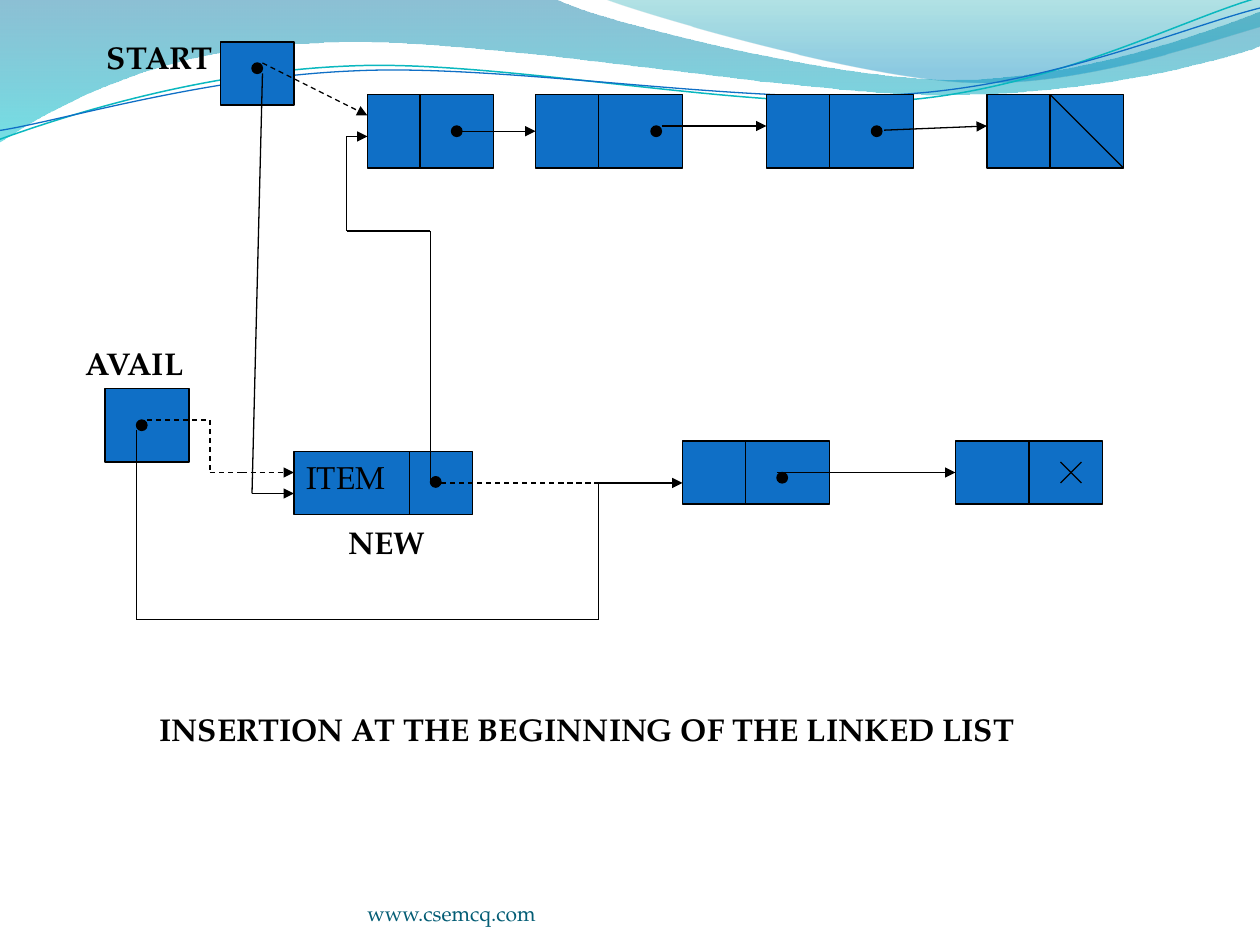
from lxml import etree
from pptx import Presentation
from pptx.dml.color import RGBColor
from pptx.enum.dml import MSO_LINE
from pptx.enum.shapes import MSO_CONNECTOR, MSO_SHAPE
from pptx.enum.text import MSO_ANCHOR, MSO_AUTO_SIZE
from pptx.oxml import parse_xml
from pptx.oxml.ns import nsdecls, qn
from pptx.util import Cm, Pt

RECT, OVAL = MSO_SHAPE.RECTANGLE, MSO_SHAPE.OVAL
STRAIGHT = MSO_CONNECTOR.STRAIGHT
DASH = MSO_LINE.DASH
FIT, BOTTOM = MSO_AUTO_SIZE.SHAPE_TO_FIT_TEXT, MSO_ANCHOR.BOTTOM
LEFT_SIDE = 1

FONT = "TeX Gyre Pagella"
COLORS = {"node": "0F6FC6", "ink": "000000", "footer": "045D75",
          "teal": "0AB8BF", "blue": "0F6FC6"}
# Gradient stops: position %, colour, opacity %
BAND_STOPS = [(0, "0074A1", 45), (100, "00C6CF", 55)]
CREST_STOPS = [(0, "00A1A9", 30), (80, "008BBF", 45)]

# Wave outlines in inches: a pair is a corner, a six-tuple is a Bezier curve
BAND = [(0, 0), (4.4, -0.01), (4.76, 0.17, 6.64, 0.63, 7.58, 0.63),
        (8.53, 0.63, 9.58, 0.26, 10, 0.09), (10.01, 0.36),
        (9.83, 0.44, 8.7, 0.76, 7.46, 0.75), (6.22, 0.75, 3.82, 0.28, 2.57, 0.34),
        (1.29, 0.36, 0.46, 0.83, -0.01, 1.13)]
CREST = [(4.79, -0.01), (5.09, 0.11, 6.82, 0.62, 7.69, 0.65),
         (8.56, 0.69, 9.61, 0.32, 10, 0.21), (10, 0)]
# The two thin waves are given level and then tilted
TILT = -2.7
TEAL_WAVE = [(-0.02, 0.87), (0.47, 0.72, 1.58, 0.41, 2.78, 0.42),
             (3.96, 0.42, 5.91, 0.93, 7.12, 0.9), (8.32, 0.87, 9.4, 0.36, 10, 0.22)]
BLUE_WAVE = [(-0.02, 0.8), (0.46, 0.75, 1.64, 0.45, 2.83, 0.46),
             (4.03, 0.46, 5.96, 0.89, 7.16, 0.85), (8.35, 0.83, 9.42, 0.42, 10.02, 0.3)]


def u(n):
    """Length of n diagram grid units (a twelfth of an inch)."""
    return Cm(n * 2.54 / 12)


def rgb(name):
    return RGBColor.from_string(COLORS[name])


def add_outline(s, outline, close):
    """Freeform whose six-tuples become Bezier curves."""
    points = [(Cm(part[i] * 2.54), Cm(part[i + 1] * 2.54))
              for part in outline for i in range(0, len(part), 2)]
    builder = s.shapes.build_freeform(*points[0])
    builder.add_line_segments(points[1:], close=close)
    sp = builder.convert_to_shape()
    sp.shadow.inherit = False
    segments = iter(list(sp._element.spPr.iter(qn("a:lnTo"))))
    for part in outline[1:]:
        segment = next(segments)
        if len(part) == 6:
            segment.tag = qn("a:cubicBezTo")
            for _ in range(2):
                extra = next(segments)
                segment.append(extra[0])
                extra.getparent().remove(extra)
    return sp


def add_band(s, outline, stops):
    sp = add_outline(s, outline, close=True)
    sp.line.fill.background()
    sp.fill.background()
    gs = "".join(f'<a:gs pos="{pos * 1000}"><a:srgbClr val="{c}">'
                 f'<a:alpha val="{alpha * 1000}"/></a:srgbClr></a:gs>'
                 for pos, c, alpha in stops)
    no_fill = sp._element.spPr.find(qn("a:noFill"))
    no_fill.getparent().replace(no_fill, parse_xml(
        f'<a:gradFill {nsdecls("a")}><a:gsLst>{gs}</a:gsLst>'
        '<a:lin ang="5400000" scaled="0"/></a:gradFill>'))


def add_wave(s, outline, color, width):
    sp = add_outline(s, outline, close=False)
    sp.fill.background()
    sp.line.color.rgb = rgb(color)
    sp.line.width = Pt(width)
    sp.rotation = TILT


def add_shape(s, kind, x, y, w, h, color):
    sp = s.shapes.add_shape(kind, u(x), u(y), u(w), u(h))
    sp.shadow.inherit = False
    sp.fill.solid()
    sp.fill.fore_color.rgb = rgb(color)
    sp.line.color.rgb = rgb("ink")
    sp.line.width = Pt(0.75)
    return sp


def add_line(s, start, end, arrow=False, dashed=False, target=None):
    cx = s.shapes.add_connector(STRAIGHT, *map(u, start + end))
    cx.line.color.rgb = rgb("ink")
    cx.line.width = Pt(0.75)
    if dashed:
        cx.line.dash_style = DASH
    if arrow:
        etree.SubElement(cx.line._get_or_add_ln(), qn("a:tailEnd"), type="triangle")
    etree.SubElement(cx._element.spPr, qn("a:effectLst"))
    if target is not None:
        cx.end_connect(target, LEFT_SIDE)


def add_route(s, points, dashed=False):
    """Chain of straight lines, with the arrowhead on the last one."""
    for i, (start, end) in enumerate(zip(points, points[1:]), 2):
        add_line(s, start, end, i == len(points), dashed)


def add_node(s, x, y, w, h, divider):
    sp = add_shape(s, RECT, x, y, w, h, "node")
    add_line(s, (divider, y), (divider, y + h))
    return sp


def add_text(s, text, x, y, w, size=18, bold=True, color="ink"):
    sp = s.shapes.add_textbox(u(x), u(y), u(w), u(4.8))
    tf = sp.text_frame
    tf.word_wrap = True
    tf.text = text
    font = tf.paragraphs[0].runs[0].font
    font.name, font.size, font.bold = FONT, Pt(size), bold
    font.color.rgb = rgb(color)
    return tf


def main():
    prs = Presentation()
    prs.slide_width, prs.slide_height = Cm(25.4), Cm(19.05)
    s = prs.slides.add_slide(prs.slide_layouts[6])

    # Waves along the top
    add_band(s, BAND, BAND_STOPS)
    add_band(s, CREST, CREST_STOPS)
    add_wave(s, TEAL_WAVE, "teal", 0.85)
    add_wave(s, BLUE_WAVE, "blue", 0.75)

    # Pointer boxes, the list in the top row and the free nodes below
    add_shape(s, RECT, 21, 4, 7, 6, "node")
    add_shape(s, RECT, 10, 37, 8, 7, "node")
    _, second, _, _ = [
        add_node(s, x, 9, w, 7, divider)
        for x, w, divider in ((35, 12, 40), (51, 14, 57), (73, 14, 79), (94, 13, 100))]
    add_node(s, 28, 43, 17, 6, 39)
    add_node(s, 65, 42, 14, 6, 71)
    last_free = add_node(s, 91, 42, 14, 6, 98)

    # Pointer dots
    for x, y in ((24, 6), (43, 12), (62, 12), (83, 12), (13, 40), (41, 45.4), (74, 45)):
        add_shape(s, OVAL, x, y, 1, 1, "ink")

    # Links between nodes
    add_line(s, (44, 12.5), (51, 12.5), arrow=True, target=second)
    add_line(s, (63, 12), (73, 12), arrow=True)
    add_line(s, (84.2, 12.4), (94, 12), arrow=True)
    add_line(s, (74, 45), (91, 45), arrow=True, target=last_free)

    # Null marks at both list ends
    add_line(s, (100, 9), (107, 16))
    add_line(s, (101, 44), (103, 46))
    add_line(s, (103, 44), (101, 46))

    # Old pointers, dashed
    add_line(s, (25, 6), (35, 11), arrow=True, dashed=True)
    add_route(s, [(14, 40), (20, 40), (20, 45), (23, 45), (28, 45)], dashed=True)
    add_line(s, (42, 46), (57, 46), dashed=True)

    # New pointers, solid
    add_route(s, [(25, 7), (24, 47), (28, 47)])
    add_route(s, [(41, 46), (41, 22), (33, 22), (33, 13), (35, 13)])
    add_route(s, [(13, 41), (13, 59), (57, 59), (57, 46), (65, 46)])

    # Labels and caption
    for text, x, y, w, bold in (
            ("START", 9, 3, 14, True), ("AVAIL", 7, 32.2, 13, True),
            ("ITEM", 28, 43, 10, False), ("NEW", 32, 49.2, 11, True),
            ("INSERTION AT THE BEGINNING OF THE LINKED LIST", 14, 67, 85, True)):
        add_text(s, text, x, y, w, bold=bold).auto_size = FIT

    # Footer
    tf = add_text(s, "www.csemcq.com", 35, 83.4, 44, size=12, bold=False, color="footer")
    tf.margin_left = tf.margin_right = tf.margin_top = tf.margin_bottom = 0
    tf.vertical_anchor = BOTTOM

    prs.save("out.pptx")


if __name__ == "__main__":
    main()
